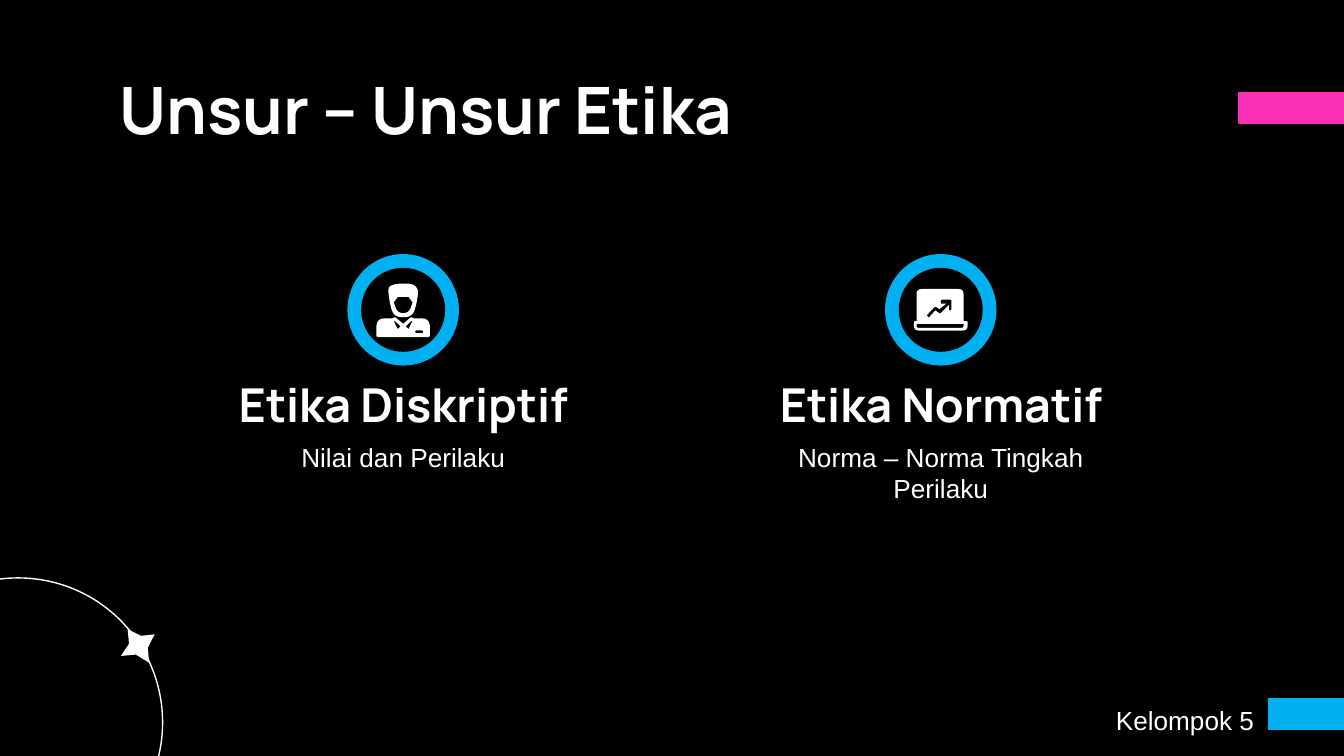
from dataclasses import dataclass

from pptx import Presentation
from pptx import util as u
from pptx.dml.color import RGBColor
from pptx.enum import shapes, text


@dataclass(frozen=True)
class Theme:
    black: RGBColor = RGBColor(0x00, 0x00, 0x00)
    white: RGBColor = RGBColor(0xFF, 0xFF, 0xFF)
    pink: RGBColor = RGBColor(0xFC, 0x30, 0xB6)
    blue: RGBColor = RGBColor(0x00, 0xB0, 0xF0)
    heading_font: str = "Manrope"
    body_font: str = "Arial"
    title_size: float = 35
    heading_size: float = 25
    body_size: float = 14
    line_width: float = 0.75
    inset: float = 7.2
    icon_unit: float = 0.72  # points per icon grid step


# Icon contours: (x, y) is a sharp corner, (x, y, r) a rounded one
LAPTOP = [
    [(2, 0, 4), (37, 0, 4), (37, 24), (40, 24, 1), (40, 31, 4),
     (0, 31, 4), (0, 24, 1), (2, 24)],
    [(2, 26), (37, 26), (37, 29, 2), (2, 29, 2)],
    [(20, 8, 1), (28, 8, 1), (28, 16, 1), (26, 16, 1), (26, 12),
     (19.5, 18.5, 1), (16, 16), (11, 21.5, 1), (9.5, 19.5, 1),
     (16, 13, 1), (19, 15), (24, 11), (20, 11, 1)],
]
HEAD = [
    [(9, 2, 4), (16, 0, 3), (27, 0, 5), (31, 4, 3), (31, 8, 2),
     (30, 14, 2), (28, 22, 4), (24, 25, 3), (16, 25, 3), (12, 22, 4),
     (10, 14, 2), (9, 7, 2)],
    [(16, 10), (24, 10), (27, 14), (25, 20, 3), (22, 22, 2),
     (18, 22, 2), (15, 20, 3), (13, 14)],
]
SHOULDERS = [
    [(0, 26, 7), (12, 26), (14, 25, 1), (20, 30), (26, 25, 1), (28, 26),
     (40, 26, 7), (40, 40, 2), (0, 40, 2)],
    [(13, 28), (14, 28), (18, 32), (16, 34)],
    [(27, 28), (26, 28), (22, 32), (24, 34)],
    [(29, 35, 1), (35, 35, 1), (35, 37, 1), (29, 37, 1)],
]
STAR = [[(5, 0), (6, 11), (0, 20), (11, 19), (21, 25), (20, 14), (25, 4), (15, 5)]]


def round_corners(corners, steps=5):
    """Turn each rounded corner into a short run of points on a curve."""
    points = []
    for i, (x, y, *radius) in enumerate(corners):
        if not radius:
            points.append((x, y))
            continue
        ends = []
        for other in (corners[i - 1], corners[(i + 1) % len(corners)]):
            dx, dy = other[0] - x, other[1] - y
            length = (dx * dx + dy * dy) ** 0.5
            share = min(radius[0] / length, 0.5)
            ends.append((x + dx * share, y + dy * share))
        (ax, ay), (bx, by) = ends
        for step in range(steps + 1):
            t = step / steps
            a, c, b = (1 - t) ** 2, 2 * t * (1 - t), t * t
            points.append((a * ax + c * x + b * bx, a * ay + c * y + b * by))
    return points


class SlideBuilder:
    def __init__(self, slide, theme):
        self.slide = slide
        self.theme = theme
        slide.background.fill.solid()
        slide.background.fill.fore_color.rgb = theme.black

    def paint(self, shape, fill, line):
        shape.shadow.inherit = False
        if fill is None:
            shape.fill.background()
        else:
            shape.fill.solid()
            shape.fill.fore_color.rgb = fill
        if line is None:
            shape.line.fill.background()
        else:
            shape.line.color.rgb = line
            shape.line.width = u.Pt(self.theme.line_width)

    def preset(self, kind, left, top, width, height, fill=None, line=None):
        shape = self.slide.shapes.add_shape(
            kind, u.Pt(left), u.Pt(top), u.Pt(width), u.Pt(height))
        self.paint(shape, fill, line)

    def bar(self, left, top, width, color):
        self.preset(shapes.MSO_SHAPE.RECTANGLE, left, top, width, 16.5, color, color)

    def circle(self, center_x, center_y, diameter, fill=None, line=None):
        self.preset(shapes.MSO_SHAPE.OVAL, center_x - diameter / 2,
                    center_y - diameter / 2, diameter, diameter, fill, line)

    def outline(self, contours, left, top):
        unit = self.theme.icon_unit
        builder = None
        for contour in contours:
            points = [(u.Pt(left + x * unit), u.Pt(top + y * unit))
                      for x, y in round_corners(contour)]
            if builder is None:
                builder = self.slide.shapes.build_freeform(*points[0])
            else:
                builder.move_to(*points[0])
            builder.add_line_segments(points[1:], close=True)
        self.paint(builder.convert_to_shape(), self.theme.white, None)

    def text(self, lines, left, top, width, height, size, font, bold=False,
             align=text.PP_ALIGN.LEFT, anchor=text.MSO_ANCHOR.MIDDLE):
        box = self.slide.shapes.add_textbox(
            u.Pt(left), u.Pt(top), u.Pt(width), u.Pt(height))
        frame = box.text_frame
        frame.word_wrap = True
        frame.vertical_anchor = anchor
        inset = u.Pt(self.theme.inset)
        frame.margin_left = frame.margin_right = inset
        frame.margin_top = frame.margin_bottom = inset
        for i, line in enumerate(lines):
            paragraph = frame.add_paragraph() if i else frame.paragraphs[0]
            paragraph.alignment = align
            run = paragraph.add_run()
            run.text = line
            run.font.size = u.Pt(size)
            run.font.name = font
            run.font.bold = bold
            run.font.color.rgb = self.theme.white

    def topic(self, center_x, heading, lines, icon_top, icon_parts):
        theme = self.theme
        width = 229
        left = center_x - width / 2
        self.circle(center_x, 166, 59, theme.blue, theme.blue)
        self.circle(center_x, 166, 45, theme.black)
        for part in icon_parts:
            self.outline(part, center_x - 20 * theme.icon_unit, icon_top)
        self.text([heading], left, 198.7, width, 39.6, theme.heading_size,
                  theme.heading_font, True, text.PP_ALIGN.CENTER,
                  text.MSO_ANCHOR.BOTTOM)
        self.text(lines, left, 229, width, 74, theme.body_size, theme.body_font,
                  align=text.PP_ALIGN.CENTER, anchor=text.MSO_ANCHOR.TOP)


def main():
    theme = Theme()
    presentation = Presentation()
    presentation.slide_width = u.Pt(720)
    presentation.slide_height = u.Pt(405)
    slide = presentation.slides.add_slide(presentation.slide_layouts[6])
    builder = SlideBuilder(slide, theme)

    # Decoration
    builder.bar(663.8, 49.5, 59, theme.pink)
    builder.circle(9.7, 387, 154.8, line=theme.white)
    builder.outline(STAR, 64.8, 337)

    # Title
    builder.text(["Unsur – Unsur Etika"], 57, 35.3, 607, 45.4,
                 theme.title_size, theme.heading_font, True)

    # Topics
    builder.topic(216, "Etika Diskriptif", ["Nilai dan Perilaku"],
                  151.9, [HEAD, SHOULDERS])
    builder.topic(504, "Etika Normatif", ["Norma – Norma Tingkah", "Perilaku"],
                  154.8, [LAPTOP])

    # Footer
    builder.text(["Kelompok 5"], 530.7, 375.1, 148.3, 21.6, theme.body_size,
                 theme.body_font, align=text.PP_ALIGN.RIGHT)
    builder.bar(679.4, 374.4, 46.8, theme.blue)

    presentation.save("out.pptx")


if __name__ == "__main__":
    main()
